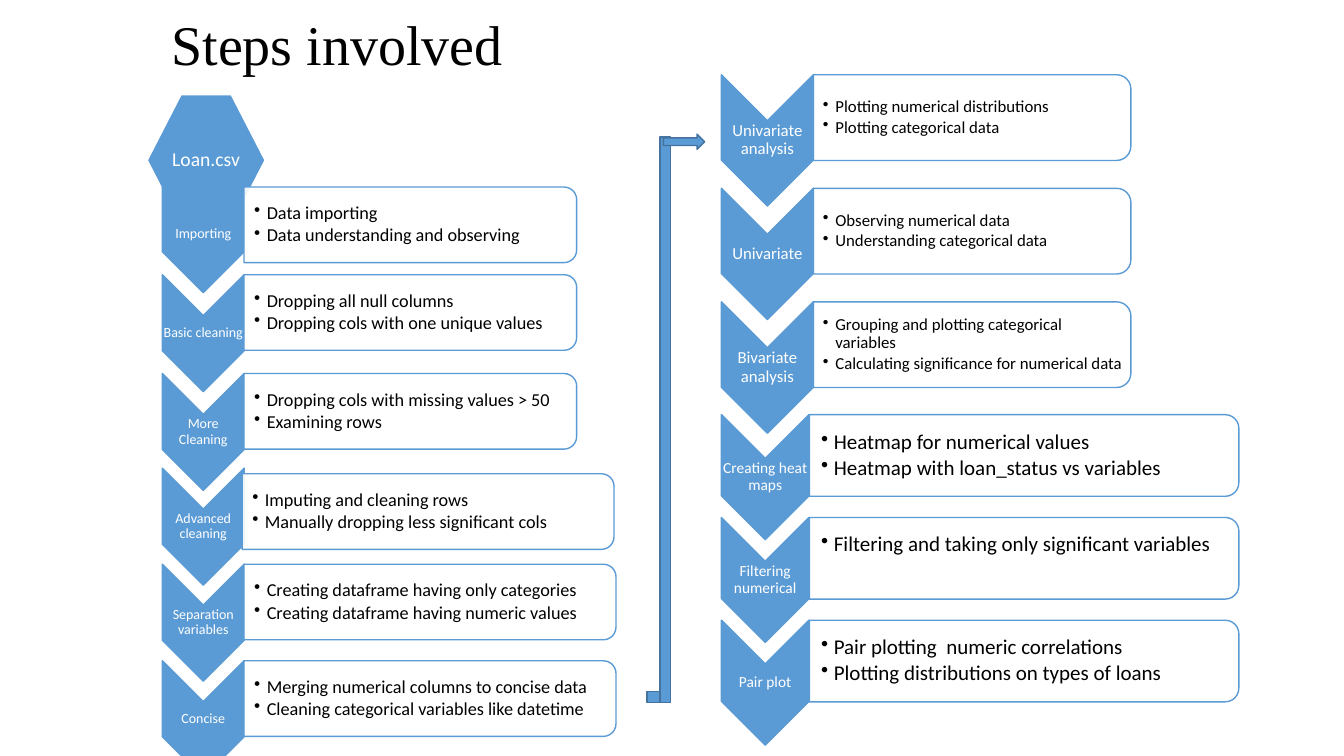
from lxml import etree
from pptx import Presentation
from pptx.dml.color import RGBColor
from pptx.enum.shapes import MSO_SHAPE
from pptx.enum.text import MSO_ANCHOR, MSO_AUTO_SIZE, PP_ALIGN
from pptx.oxml.ns import qn
from pptx.util import Pt

CHEVRON = MSO_SHAPE.CHEVRON
PANEL = MSO_SHAPE.ROUND_2_SAME_RECTANGLE
HEXAGON = MSO_SHAPE.HEXAGON
RECTANGLE = MSO_SHAPE.RECTANGLE
RIGHT_ARROW = MSO_SHAPE.RIGHT_ARROW
MIDDLE = MSO_ANCHOR.MIDDLE
NO_AUTOFIT = MSO_AUTO_SIZE.NONE
LEFT, CENTER = PP_ALIGN.LEFT, PP_ALIGN.CENTER

COLORS = {"blue": "5B9BD5", "dark_blue": "43739E", "white": "FFFFFF", "black": "000000"}
BODY_FONT, TITLE_FONT = "Calibri", "Times New Roman"
INSET = 0.7


def rgb(name):
    return RGBColor.from_string(COLORS[name])


def add_shape(slide, kind, box, fill, line):
    shape = slide.shapes.add_shape(kind, *map(Pt, box))
    shape.shadow.inherit = False
    shape.fill.solid()
    shape.fill.fore_color.rgb = rgb(fill)
    shape.line.color.rgb = rgb(line)
    shape.line.width = Pt(1)
    return shape


def add_turned(slide, kind, box, fill):
    left, top, width, height = box
    shift = (width - height) / 2
    shape = add_shape(slide, kind, (left + shift, top - shift, height, width), fill, "blue")
    shape.rotation = 90
    return shape


def style(paragraph, size, color, align, font=BODY_FONT, after=0.0):
    paragraph.alignment = align
    paragraph.line_spacing = 0.9
    paragraph.space_after = Pt(round(size * after, 2))
    for run in paragraph.runs:
        run.font.size = Pt(size)
        run.font.name = font
        run.font.bold = False
        run.font.color.rgb = rgb(color)


def prepare(frame, left=INSET, bottom=INSET):
    frame.auto_size = NO_AUTOFIT
    frame.word_wrap = True
    frame.vertical_anchor = MIDDLE
    frame.margin_left, frame.margin_bottom = Pt(left), Pt(bottom)
    frame.margin_top = frame.margin_right = Pt(INSET)


def add_bullet(paragraph):
    properties = paragraph._p.get_or_add_pPr()
    properties.set("marL", str(Pt(9)))
    properties.set("indent", str(Pt(-9)))
    etree.SubElement(properties, qn("a:buChar")).set("char", "•")


def add_title(slide, box):
    title = slide.shapes.title
    title.left, title.top, title.width, title.height = map(Pt, box)
    frame = title.text_frame
    frame.text = "Steps involved"
    prepare(frame, left=17.2)
    style(frame.paragraphs[0], 40, "black", LEFT, TITLE_FONT)


def add_source_file(slide, box):
    hexagon = add_shape(slide, HEXAGON, box, "blue", "white")
    hexagon.adjustments[0] = 0.286
    frame = hexagon.text_frame
    frame.text = "Loan.csv"
    prepare(frame)
    frame.word_wrap = False
    style(frame.paragraphs[0], 14, "white", CENTER)


def add_step_label(slide, box, label, size):
    left, top, width, height = box
    add_turned(slide, CHEVRON, box, "blue")
    text_box = slide.shapes.add_textbox(Pt(left), Pt(top + width / 2), Pt(width), Pt(height - width))
    frame = text_box.text_frame
    frame.text = label
    prepare(frame)
    style(frame.paragraphs[0], size, "white", CENTER, after=0.35)


def add_step_details(slide, box, details, size):
    left, top, width, height = box
    panel = add_turned(slide, PANEL, box, "white")
    fill_color = panel._element.spPr.find(qn("a:solidFill"))[0]
    etree.SubElement(fill_color, qn("a:alpha")).set("val", "90000")
    text_box = slide.shapes.add_textbox(Pt(left), Pt(top + 2.5), Pt(width - 3), Pt(height - 5))
    frame = text_box.text_frame
    frame.text = "\n".join(details)
    missing_line = 0 if len(details) > 1 else size * 1.3
    prepare(frame, left=size * 0.56, bottom=INSET + missing_line)
    for paragraph in frame.paragraphs:
        style(paragraph, size, "black", LEFT, after=0.15)
        add_bullet(paragraph)


def add_steps(slide, chevron, panel, sizes, steps):
    chevron_left, chevron_width, chevron_height = chevron
    panel_left, panel_width, panel_height = panel
    label_size, detail_size = sizes
    for top, panel_dx, panel_dy, label, *details in steps:
        add_step_label(slide, (chevron_left, top, chevron_width, chevron_height), label, label_size)
        panel_box = (panel_left + panel_dx, top + panel_dy, panel_width, panel_height)
        add_step_details(slide, panel_box, details, detail_size)


def add_bent_arrow(slide, box):
    left, top, width, height = box
    parts = (
        (RECTANGLE, (left, top + height - 8, 9.4, 8)),
        (RECTANGLE, (left + 9.4, top + 2, 7.2, height - 2)),
        (RIGHT_ARROW, (left + 11.6, top, width - 11.6, 10.8)),
    )
    for kind, part_box in parts:
        add_shape(slide, kind, part_box, "blue", "dark_blue")


CLEANING = [
    (125.6, 0, 8, "Importing", "Data importing", "Data understanding and observing"),
    (196.2, 0, 0, "Basic cleaning", "Dropping all null columns", "Dropping cols with one unique values"),
    (266.8, 0, 0, "More Cleaning", "Dropping cols with missing values > 50", "Examining rows"),
]
REFINING = [
    (334.4, -1.4, 4, "Advanced cleaning", "Imputing and cleaning rows",
     "Manually dropping less significant cols"),
    (403, 0, 0, "Separation variables", "Creating dataframe having only categories",
     "Creating dataframe having numeric values"),
    (472, 0, 0, "Concise", "Merging numerical columns to concise data",
     "Cleaning categorical variables like datetime"),
]
ANALYSIS = [
    ("Univariate analysis", "Plotting numerical distributions", "Plotting categorical data"),
    ("Univariate", "Observing numerical data", "Understanding categorical data"),
    ("Bivariate analysis", "Grouping and plotting categorical variables",
     "Calculating significance for numerical data"),
]
CORRELATION = [
    ("Creating heat maps", "Heatmap for numerical values", "Heatmap with loan_status vs variables"),
    ("Filtering numerical", "Filtering and taking only significant variables"),
    ("Pair plot", "Pair plotting  numeric correlations", "Plotting distributions on types of loans"),
]


def evenly(first_top, pitch, steps):
    return [(first_top + pitch * row, 0, 0, *step) for row, step in enumerate(steps)]


def build_steps_slide(presentation):
    slide = presentation.slides.add_slide(presentation.slide_layouts[5])
    add_source_file(slide, (105.2, 67.7, 84.2, 93.6))
    add_title(slide, (105.2, 0, 733.7, 67.7))
    add_steps(slide, (116, 58.4, 83.5), (174.3, 237.6, 54), (10, 13), CLEANING)
    add_steps(slide, (116, 58.4, 83.5), (174.3, 265.7, 54), (10, 13), REFINING)
    add_bent_arrow(slide, (462.2, 95.8, 41.1, 406))
    add_steps(slide, (515.3, 65.7, 93.8), (581, 226.8, 61.2), (12, 12), evenly(53.4, 81.1, ANALYSIS))
    add_steps(slide, (515.3, 62.6, 89.3), (578.2, 306.7, 58.3), (11, 15), evenly(296.2, 73.4, CORRELATION))


presentation = Presentation()
presentation.slide_width, presentation.slide_height = Pt(960), Pt(540)
build_steps_slide(presentation)
presentation.save("out.pptx")
